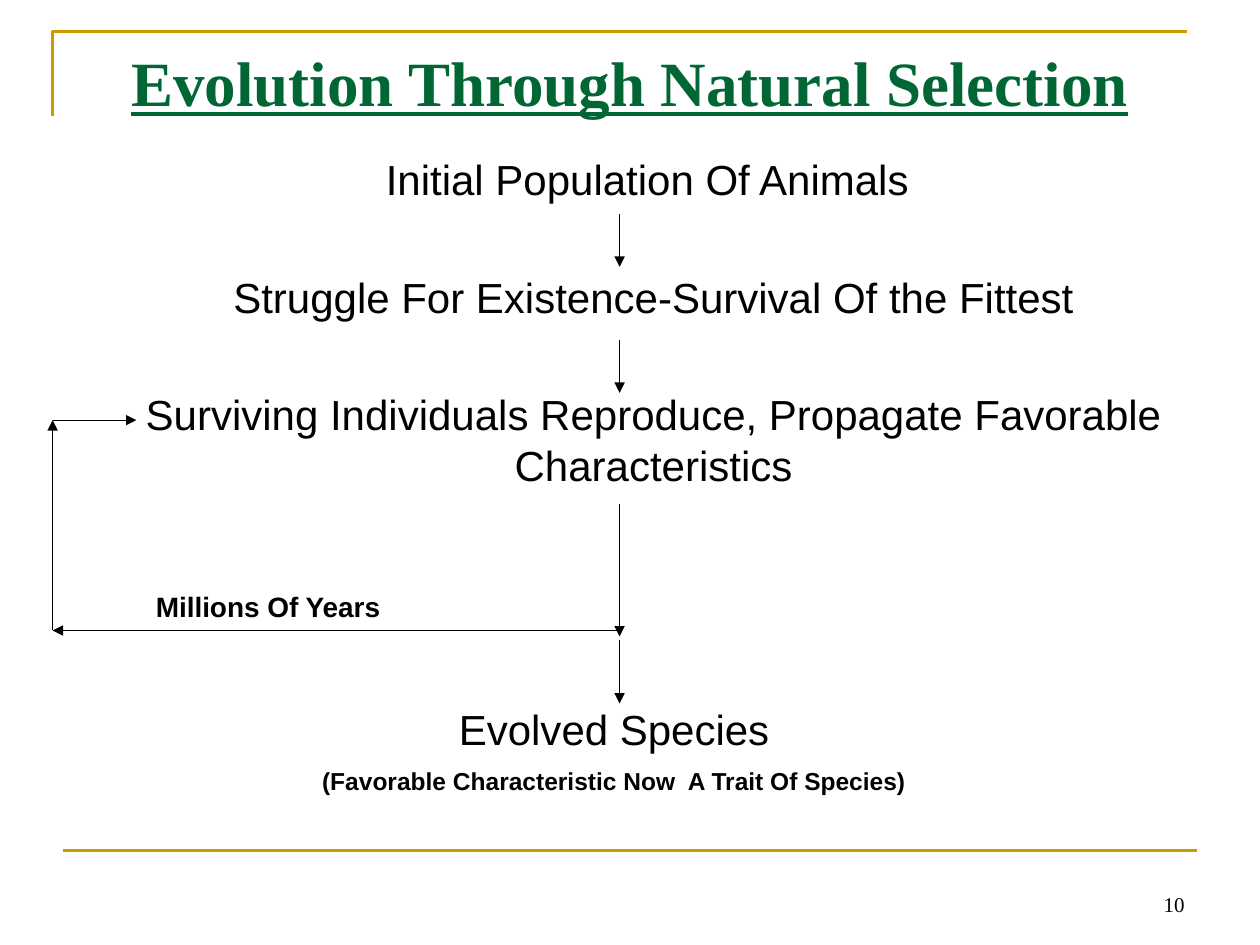
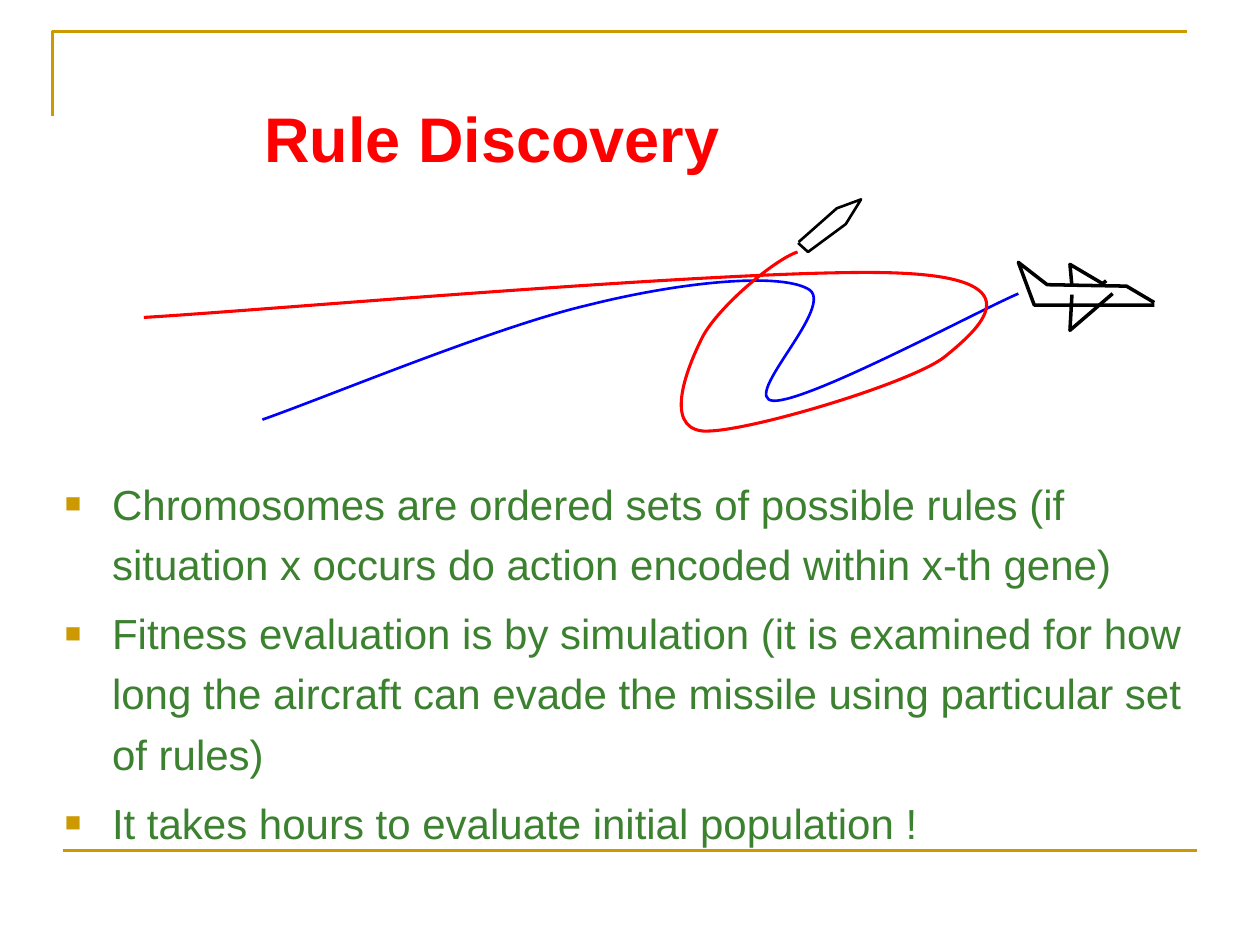
from lxml import etree
from pptx import Presentation
from pptx.dml.color import RGBColor
from pptx.enum.shapes import MSO_CONNECTOR
from pptx.enum.text import MSO_ANCHOR, PP_ALIGN
from pptx.oxml.ns import qn
from pptx.util import Cm, Pt

LEFT, CENTER, RIGHT = PP_ALIGN.LEFT, PP_ALIGN.CENTER, PP_ALIGN.RIGHT
TOP, BOTTOM = MSO_ANCHOR.TOP, MSO_ANCHOR.BOTTOM
STRAIGHT = MSO_CONNECTOR.STRAIGHT

SANS, SERIF = "Arial", "Times New Roman"
BLACK, GOLD, GREEN, LEAF = "000000", "CC9900", "006633", "3B812F"
RED, BLUE = "FF0000", "0000FF"


def color(code):
    """Turn a hex string into a colour."""
    return RGBColor.from_string(code)


def bullet(props):
    """Add a hanging gold square to paragraph properties."""
    props.set("indent", str(-Cm(0.95)))
    tint = etree.SubElement(props, qn("a:buClr"))
    etree.SubElement(tint, qn("a:srgbClr"), val=GOLD)
    etree.SubElement(props, qn("a:buSzPct"), val="65000")
    etree.SubElement(props, qn("a:buFont"), typeface=SANS)
    etree.SubElement(props, qn("a:buChar"), char="■")


def write(para, text, size=24, font=SANS, ink=BLACK, bold=False, under=False,
          align=LEFT, before=0, lines=None, inset=0, mark=False):
    """Fill a paragraph with formatted text."""
    props = para._p.get_or_add_pPr()
    if inset:
        props.set("marL", str(Cm(inset)))
    if mark:
        bullet(props)
    para.alignment = align
    para.space_before = Pt(before)
    if lines:
        para.line_spacing = lines
    run = para.add_run()
    run.text = text
    face = run.font
    face.name, face.size, face.bold, face.underline = font, Pt(size), bold, under
    face.color.rgb = color(ink)


def bend(shape):
    """Turn each three line segments of an outline into one cubic arc."""
    track = next(shape._element.iter(qn("a:path")))
    sides = track.findall(qn("a:lnTo"))
    for start in range(0, len(sides), 3):
        arc = etree.SubElement(track, qn("a:cubicBezTo"))
        for side in sides[start:start + 3]:
            arc.append(side[0])
            track.remove(side)


class Deck:
    """Hold the style and the current slide."""

    def __init__(self):
        """Open an empty deck."""
        self.file = Presentation()
        self.file.slide_width, self.file.slide_height = Cm(25.4), Cm(19.05)
        self.slide = None

    def page(self):
        """Start a slide with the shared gold frame."""
        self.slide = self.file.slides.add_slide(self.file.slide_layouts[6])
        self.trace([(1.06, 2.33), (1.06, 0.63), (23.92, 0.63)], GOLD, 1.5)
        self.line((1.27, 17.15), (24.13, 17.15), GOLD, 1.5)

    def text(self, box, *items, anchor=TOP, **look):
        """Add a text box; each item is text or a (text, format) pair."""
        frame = self.slide.shapes.add_textbox(*map(Cm, box)).text_frame
        frame.word_wrap = True
        frame.vertical_anchor = anchor
        for order, item in enumerate(items):
            words, extra = (item, {}) if isinstance(item, str) else item
            para = frame.add_paragraph() if order else frame.paragraphs[0]
            form = {**look, **extra}
            if not order:
                form["before"] = 0
            write(para, words, **form)

    def title(self, box, words, **look):
        """Add a bold slide title."""
        self.text(box, words, size=36, bold=True, **look)

    def line(self, start, end, ink=BLACK, width=0.75, head=False):
        """Add a straight line, with an arrowhead if asked."""
        link = self.slide.shapes.add_connector(
            STRAIGHT, *map(Cm, (*start, *end)))
        link.line.color.rgb = color(ink)
        link.line.width = Pt(width)
        if head:
            etree.SubElement(link.line._get_or_add_ln(), qn("a:tailEnd"),
                             type="triangle")
        etree.SubElement(link._element.spPr, qn("a:effectLst"))

    def trace(self, points, ink, width, curved=False):
        """Add an open outline, straight or made of cubic arcs."""
        spots = [(Cm(x), Cm(y)) for x, y in points]
        pen = self.slide.shapes.build_freeform(*spots[0])
        pen.add_line_segments(spots[1:], close=False)
        shape = pen.convert_to_shape()
        shape.shadow.inherit = False
        shape.fill.background()
        shape.line.color.rgb = color(ink)
        shape.line.width = Pt(width)
        if curved:
            bend(shape)


def evolve(deck):
    """Build the natural selection flow."""
    deck.page()
    deck.text((18.21, 17.34, 5.92, 1.27), "10", size=12, font=SERIF,
              align=RIGHT, anchor=BOTTOM)
    deck.title((1.27, 0.76, 22.86, 1.78), "Evolution Through Natural Selection",
               font=SERIF, ink=GREEN, under=True, align=CENTER)
    deck.text(
        (1.27, 2.97, 22.86, 14.07),
        ("Initial Population Of Animals", {"inset": 0.7}),
        "Struggle For Existence-Survival Of the Fittest",
        "Surviving Individuals Reproduce, Propagate Favorable Characteristics",
        align=CENTER, before=38.4, inset=0.95)

    loop = [(12.49, 12.71), (1.06, 12.71), (1.06, 8.47), (2.75, 8.47)]
    for start, end in zip(loop, loop[1:]):
        deck.line(start, end, head=True)
    for top, end in ((4.32, 5.38), (6.86, 7.92), (10.16, 12.83), (12.91, 14.18)):
        deck.line((12.49, top), (12.49, end), head=True)

    deck.text((2.33, 11.76, 6.15, 0.94), "Millions Of Years", size=16,
              bold=True, align=CENTER)
    deck.text((4.66, 14.05, 15.44, 2.16), "Evolved Species",
              ("(Favorable Characteristic Now  A Trait Of Species)",
               {"size": 14, "bold": True, "before": 7}), align=CENTER)


def discover(deck):
    """Build the aircraft and missile slide."""
    deck.page()
    deck.title((5.08, 1.88, 19.48, 3.18), "Rule Discovery", ink=RED)
    deck.text(
        (1.06, 9.31, 23.06, 8.25),
        "Chromosomes are ordered sets of possible rules (if situation x occurs "
        "do action encoded within x-th gene)",
        "Fitness evaluation is by simulation (it is examined for how long the "
        "aircraft can evade the missile using particular set of rules)",
        "It takes hours to evaluate initial population !",
        ink=LEAF, before=4.8, lines=1.2, inset=0.95, mark=True)

    body = [(23.27, 6.15), (20.85, 6.15), (20.53, 5.29), (21.11, 5.74),
            (22.71, 5.77), (23.27, 6.1)]
    near = [(22.43, 5.92), (21.57, 6.66), (21.61, 5.94)]
    far = [(22.3, 5.66), (22.23, 5.72), (21.57, 5.33), (21.61, 5.77)]
    for part in (body, near, far):
        deck.trace(part, BLACK, 2)

    flight = [(20.53, 5.92), (19.71, 6.27), (16.31, 8.1), (15.6, 8.08),
              (14.88, 8.05), (16.92, 6.12), (16.28, 5.82), (15.67, 5.49),
              (13.69, 5.69), (11.86, 6.15), (10.01, 6.58), (6.65, 7.98),
              (5.29, 8.46)]
    deck.trace(flight, BLUE, 1.5, curved=True)

    missile = [(16.1, 4.88), (16.87, 4.2), (17.36, 4.02), (17.05, 4.52),
               (16.29, 5.08), (16.09, 4.9)]
    deck.trace(missile, BLACK, 1.5)

    chase = [(2.9, 6.4), (5.44, 6.25), (15.52, 5.36), (18.21, 5.51),
             (20.9, 5.64), (19.71, 6.65), (19.05, 7.19), (18.39, 7.72),
             (14.99, 8.74), (14.17, 8.69), (13.36, 8.61), (13.87, 7.37),
             (14.17, 6.78), (14.5, 6.17), (15.62, 5.23), (16.08, 5.08)]
    deck.trace(chase, RED, 1.75, curved=True)


def main():
    """Build and save the deck."""
    deck = Deck()
    evolve(deck)
    discover(deck)
    deck.file.save("out.pptx")


if __name__ == "__main__":
    main()
